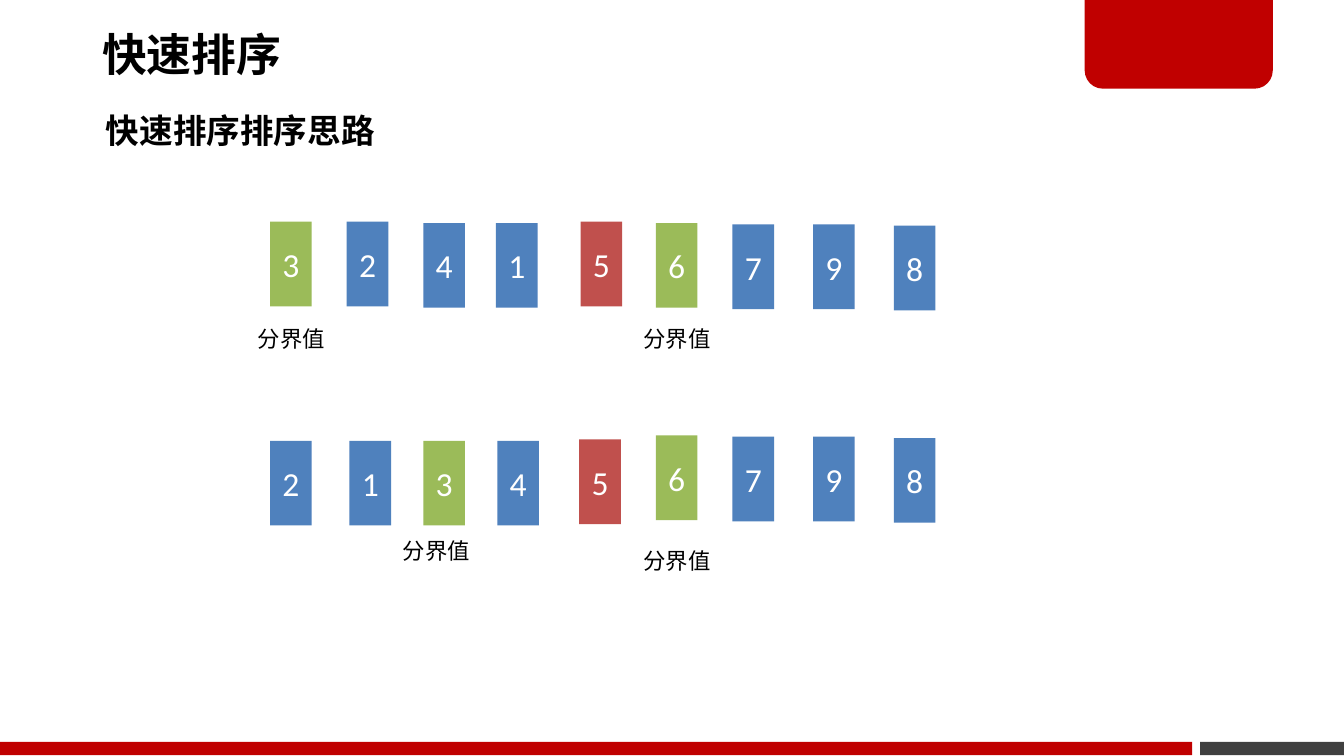
from lxml.etree import SubElement
from pptx import Presentation
from pptx.dml.color import RGBColor
from pptx.enum.shapes import MSO_SHAPE
from pptx.enum.text import MSO_ANCHOR, MSO_AUTO_SIZE, PP_ALIGN
from pptx.oxml.ns import qn
from pptx.util import Inches, Pt

COLORS = {
    "black": "000000", "white": "FFFFFF", "gray": "404040", "brand": "C00000",
    "plain": "4F81BD", "pivot": "9BBB59", "middle": "C0504D",
}
CJK_FONT = "Noto Sans CJK SC"
SLIDE_W = 10
SLIDE_H = SLIDE_W * 9 / 16
BAR_W, BAR_H = 0.31, 0.63

# Each bar: value, role, left, top
ROWS = [
    [("3", "pivot", 2.01, 1.65), ("2", "plain", 2.58, 1.65), ("4", "plain", 3.15, 1.66),
     ("1", "plain", 3.69, 1.66), ("5", "middle", 4.32, 1.65), ("6", "pivot", 4.88, 1.66),
     ("7", "plain", 5.45, 1.67), ("9", "plain", 6.05, 1.67), ("8", "plain", 6.65, 1.68)],
    [("2", "plain", 2.01, 3.28), ("1", "plain", 2.6, 3.28), ("3", "pivot", 3.15, 3.28),
     ("4", "plain", 3.7, 3.28), ("5", "middle", 4.31, 3.27), ("6", "pivot", 4.88, 3.24),
     ("7", "plain", 5.45, 3.25), ("9", "plain", 6.05, 3.25), ("8", "plain", 6.65, 3.26)],
]
PIVOT_LABELS = [(1.82, 2.37), (4.69, 2.37), (2.9, 3.95), (4.69, 4.02)]


def rgb(name):
    return RGBColor.from_string(COLORS[name])


def write(tf, text, size=18, font=CJK_FONT, color="black", bold=False,
          align=PP_ALIGN.LEFT, spacing=None):
    p = tf.paragraphs[0]
    p.alignment = align
    if spacing:
        p.line_spacing = spacing
    r = p.add_run()
    r.text = text
    r.font.size = Pt(size)
    r.font.bold = bold
    r.font.color.rgb = rgb(color)
    r.font.name = font
    SubElement(r.font._element, qn("a:ea")).set("typeface", font)


class SlideBuilder:
    def __init__(self, slide, cjk_font=CJK_FONT):
        self.shapes = slide.shapes
        self.cjk_font = cjk_font

    def block(self, x, y, w, h, color, kind=MSO_SHAPE.RECTANGLE):
        sp = self.shapes.add_shape(kind, Inches(x), Inches(y), Inches(w), Inches(h))
        sp.shadow.inherit = False
        sp.fill.solid()
        sp.fill.fore_color.rgb = rgb(color)
        sp.line.fill.background()
        return sp

    def corner_tab(self, x, y, w, h):
        sp = self.block(x, y, w, h, "brand", MSO_SHAPE.ROUND_2_SAME_RECTANGLE)
        sp.adjustments[0] = 0.2
        sp.rotation = 180

    def bar(self, value, role, x, y):
        tf = self.block(x, y, BAR_W, BAR_H, role).text_frame
        tf.margin_left = tf.margin_right = 0
        tf.vertical_anchor = MSO_ANCHOR.MIDDLE
        write(tf, value, font="Calibri", color="white", align=PP_ALIGN.CENTER)

    def text_box(self, x, y, w, h, wrap):
        box = self.shapes.add_textbox(Inches(x), Inches(y), Inches(w), Inches(h))
        box.text_frame.word_wrap = wrap
        return box.text_frame

    def title(self, text, x, y, w, h):
        tf = self.text_box(x, y, w, h, wrap=True)
        tf.vertical_anchor = MSO_ANCHOR.MIDDLE
        tf.margin_left = tf.margin_right = Inches(0.07)
        tf.margin_top = tf.margin_bottom = Inches(0.04)
        write(tf, text, size=24, font=self.cjk_font, bold=True, spacing=0.9)

    def label(self, text, x, y, w, h, **fmt):
        tf = self.text_box(x, y, w, h, wrap=False)
        tf.auto_size = MSO_AUTO_SIZE.SHAPE_TO_FIT_TEXT
        write(tf, text, font=self.cjk_font, **fmt)


def main():
    prs = Presentation()
    prs.slide_width, prs.slide_height = Inches(SLIDE_W), Inches(SLIDE_H)
    s = SlideBuilder(prs.slides.add_slide(prs.slide_layouts[6]))

    s.block(8.93, 5.52, 1.07, 0.1, "gray")
    s.corner_tab(8.07, -0.02, 1.4, 0.68)
    s.block(0, 5.52, 8.87, 0.1, "brand")
    s.title("快速排序", 0.69, -0.02, 5.89, 0.89)
    s.label("快速排序排序思路", 0.69, 0.77, 2.23, 0.4, bold=True)

    for row in ROWS:
        for bar in row:
            s.bar(*bar)
    for x, y in PIVOT_LABELS:
        s.label("分界值", x, y, 0.71, 0.3, size=12)

    prs.save("out.pptx")


if __name__ == "__main__":
    main()
